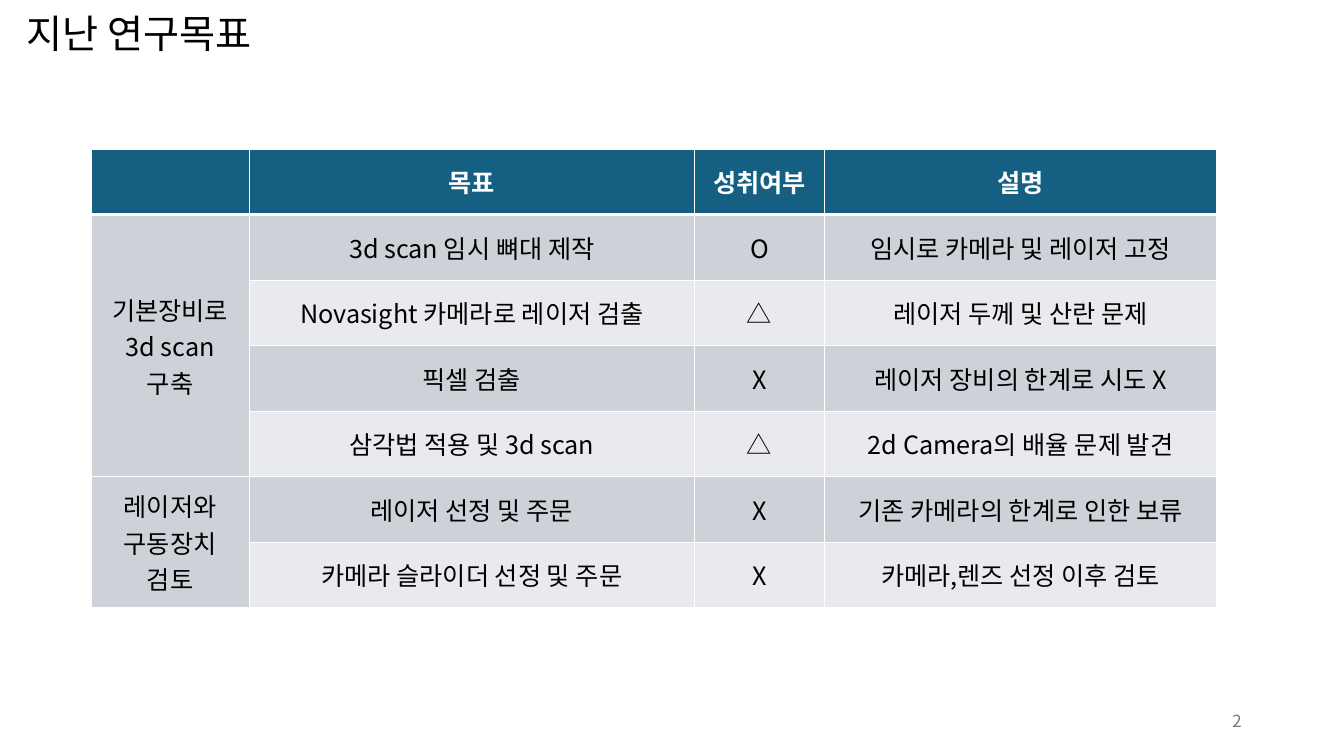
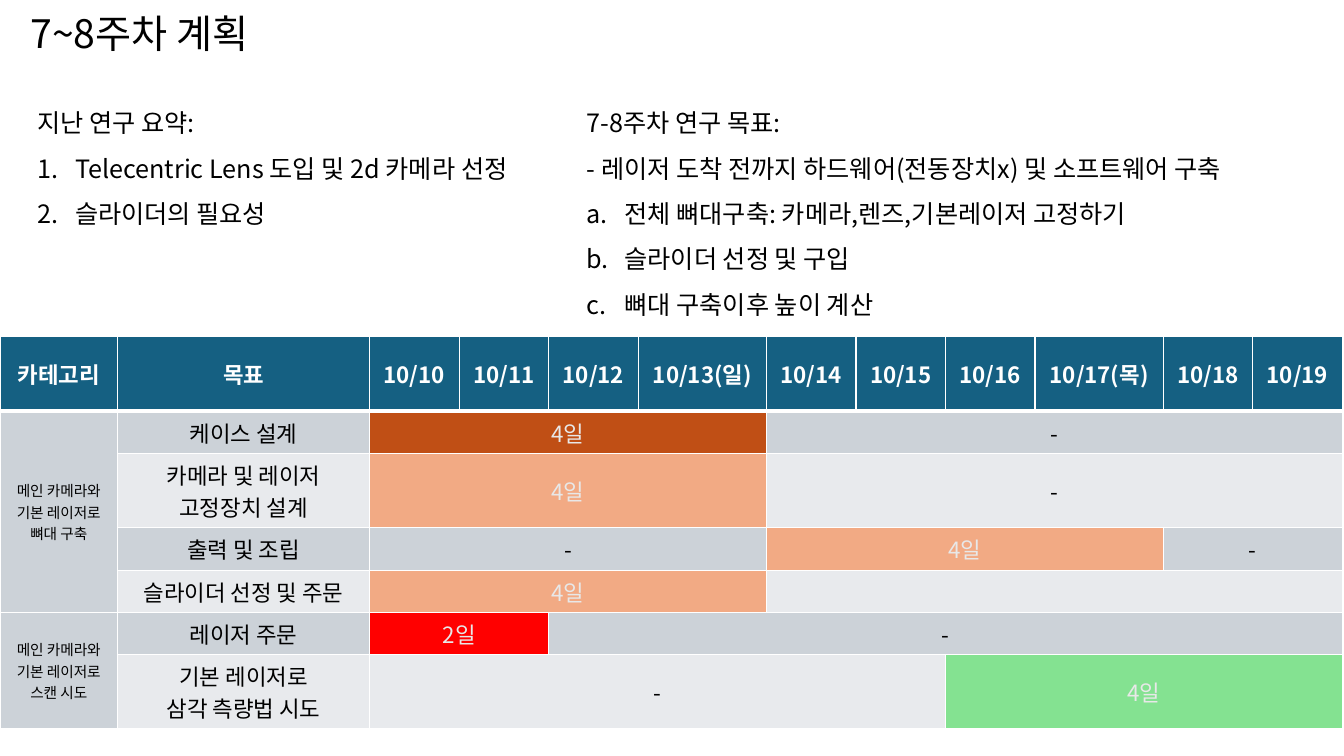
import pptx
import pptx.util
import pptx.dml.color
import pptx.enum.text
import pptx.oxml.xmlchemy

Pt = pptx.util.Pt
ALIGN = pptx.enum.text.PP_ALIGN
ANCHOR = pptx.enum.text.MSO_ANCHOR

FONT = "Noto Sans CJK KR"
COLORS = {
    "black": "000000", "white": "FFFFFF", "page": "797979", "header": "156082",
    "band_dark": "CCD2D8", "band_light": "E8EAED", "bar_text": "E8E8E8",
    "done": "C04F15", "planned": "F2AA84", "urgent": "FF0000", "scan": "84E291",
}


def rgb(name):
    return pptx.dml.color.RGBColor.from_string(COLORS[name])


def add_xml(parent, tag, **attributes):
    element = pptx.oxml.xmlchemy.OxmlElement(tag)
    for key, value in attributes.items():
        element.set(key, str(value))
    parent.append(element)
    return element


def write(frame, text, size=18, color="black", bold=False, align=ALIGN.LEFT,
          spacing=None, numbering=None, numbered_from=0):
    """Fill a text frame, one paragraph a line; number the lines from numbered_from on."""
    frame.word_wrap = True
    for index, line in enumerate(text.split("\n")):
        paragraph = frame.paragraphs[0] if index == 0 else frame.add_paragraph()
        paragraph.alignment = align
        if spacing:
            paragraph.line_spacing = spacing
        if numbering and index >= numbered_from:
            properties = paragraph._p.get_or_add_pPr()
            properties.set("marL", str(Pt(27)))
            properties.set("indent", str(Pt(-27)))
            add_xml(properties, "a:buAutoNum", type=numbering)
        if not line:
            add_xml(paragraph._p, "a:endParaRPr", sz=int(size * 100))
            continue
        run = paragraph.add_run()
        run.text = line
        run.font.size, run.font.bold, run.font.name = Pt(size), bold, FONT
        run.font.color.rgb = rgb(color)
        add_xml(run._r.get_or_add_rPr(), "a:ea", typeface=FONT)


class Deck:
    def __init__(self):
        self.presentation = pptx.Presentation()
        self.presentation.slide_width = Pt(960)
        self.presentation.slide_height = Pt(540)
        self.slide = None

    def new_slide(self, title):
        self.slide = self.presentation.slides.add_slide(self.presentation.slide_layouts[6])
        self.text(0, 0, 199, 44, title, anchor=ANCHOR.BOTTOM, size=28,
                  align=ALIGN.CENTER, spacing=0.9)

    def text(self, left, top, width, height, text, anchor=ANCHOR.TOP, **style):
        box = self.slide.shapes.add_textbox(Pt(left), Pt(top), Pt(width), Pt(height))
        box.text_frame.vertical_anchor = anchor
        write(box.text_frame, text, **style)

    def page_number(self, number):
        self.text(678, 500.5, 216, 29, number, anchor=ANCHOR.MIDDLE, size=12,
                  color="page", align=ALIGN.RIGHT)

    def cell(self, cell, text, fill, top=1, bottom=1, **style):
        properties = cell._tc.get_or_add_tcPr()
        for side, width in (("L", 1), ("R", 1), ("T", top), ("B", bottom)):
            border = add_xml(properties, "a:ln" + side, w=Pt(width))
            add_xml(add_xml(border, "a:solidFill"), "a:srgbClr", val=COLORS["white"])
        cell.fill.solid()
        cell.fill.fore_color.rgb = rgb(fill)
        cell.vertical_anchor = ANCHOR.MIDDLE
        write(cell.text_frame, text, align=ALIGN.CENTER, **style)

    def table(self, left, top, widths, heights, header, groups, size, group_size):
        """groups: (label, rows); a row lists (text, columns, fill), fill None for the band."""
        grid = self.slide.shapes.add_table(
            len(heights), len(widths), Pt(left), Pt(top),
            Pt(sum(widths)), Pt(sum(heights))).table
        grid.horz_banding = False
        for column, width in zip(grid.columns, widths):
            column.width = Pt(width)
        for row, height in zip(grid.rows, heights):
            row.height = Pt(height)

        # Header row
        for column, text in enumerate(header):
            self.cell(grid.cell(0, column), text, "header", bottom=3,
                      size=size, color="white", bold=True)

        # Body rows, with the label of each group merged down the first column
        row_index = 1
        for label, rows in groups:
            grid.cell(row_index, 0).merge(grid.cell(row_index + len(rows) - 1, 0))
            for position, entries in enumerate(rows):
                band = "band_dark" if row_index % 2 else "band_light"
                edge = 3 if row_index == 1 else 1
                self.cell(grid.cell(row_index, 0), "" if position else label,
                          "band_dark", top=edge, size=group_size)
                column = 1
                for text, span, fill in entries:
                    if span > 1:
                        grid.cell(row_index, column).merge(
                            grid.cell(row_index, column + span - 1))
                    for offset in range(span):
                        self.cell(grid.cell(row_index, column + offset),
                                  "" if offset else text, fill or band, top=edge,
                                  size=size, color="bar_text" if fill else "black")
                    column += span
                row_index += 1


def goals_slide(deck):
    deck.new_slide("지난 연구목표")
    goals = [
        ("기본장비로\n3d scan\n구축", [
            ("3d scan 임시 뼈대 제작", "O", "임시로 카메라 및 레이저 고정"),
            ("Novasight 카메라로 레이저 검출", "△", "레이저 두께 및 산란 문제"),
            ("픽셀 검출", "X", "레이저 장비의 한계로 시도 X"),
            ("삼각법 적용 및 3d scan", "△", "2d Camera의 배율 문제 발견"),
        ]),
        ("레이저와\n구동장치\n검토", [
            ("레이저 선정 및 주문", "X", "기존 카메라의 한계로 인한 보류"),
            ("카메라 슬라이더 선정 및 주문", "X", "카메라,렌즈 선정 이후 검토"),
        ]),
    ]
    groups = [(label, [[(text, 1, None) for text in row] for row in rows])
              for label, rows in goals]
    deck.table(65, 106.5, [113, 318, 93, 280], [46.8] * 7,
               ["", "목표", "성취여부", "설명"], groups, size=18, group_size=18)
    deck.page_number("2")


def plan_slide(deck):
    deck.new_slide("7~8주차 계획")

    # Schedule
    dates = ["10/10", "10/11", "10/12", "10/13(일)", "10/14",
             "10/15", "10/16", "10/17(목)", "10/18", "10/19"]
    widths = [84, 180] + [91.5 if "(" in date else 64 for date in dates]
    one_line, two_lines = 30.2, 53.2
    heights = [two_lines, one_line, two_lines, one_line, one_line, one_line, two_lines]
    schedule = [
        ("메인 카메라와\n기본 레이저로\n뼈대 구축", [
            [("케이스 설계", 1, None), ("4일", 4, "done"), ("-", 6, None)],
            [("카메라 및 레이저\n고정장치 설계", 1, None), ("4일", 4, "planned"),
             ("-", 6, None)],
            [("출력 및 조립", 1, None), ("-", 4, None), ("4일", 4, "planned"),
             ("-", 2, None)],
            [("슬라이더 선정 및 주문", 1, None), ("4일", 4, "planned"), ("", 6, None)],
        ]),
        ("메인 카메라와 기본 레이저로\n스캔 시도", [
            [("레이저 주문", 1, None), ("2일", 2, "urgent"), ("-", 8, None)],
            [("기본 레이저로\n삼각 측량법 시도", 1, None), ("-", 6, None),
             ("4일", 4, "scan")],
        ]),
    ]
    deck.table(0, 240.5, widths, heights, ["카테고리", "목표"] + dates, schedule,
               size=16, group_size=10.5)

    # Summary and goals
    deck.text(19.5, 62.5, 499, 101.5,
              "지난 연구 요약:\nTelecentric Lens 도입 및 2d 카메라 선정\n슬라이더의 필요성",
              spacing=1.5, numbering="arabicPeriod", numbered_from=1)
    deck.text(412, 62.5, 536, 166.5,
              "7-8주차 연구 목표:\n"
              "- 레이저 도착 전까지 하드웨어(전동장치x) 및 소프트웨어 구축\n"
              "전체 뼈대구축: 카메라,렌즈,기본레이저 고정하기\n"
              "슬라이더 선정 및 구입\n"
              "뼈대 구축이후 높이 계산",
              spacing=1.5, numbering="alphaLcPeriod", numbered_from=2)


def main():
    deck = Deck()
    goals_slide(deck)
    plan_slide(deck)
    deck.presentation.save("out.pptx")


if __name__ == "__main__":
    main()
